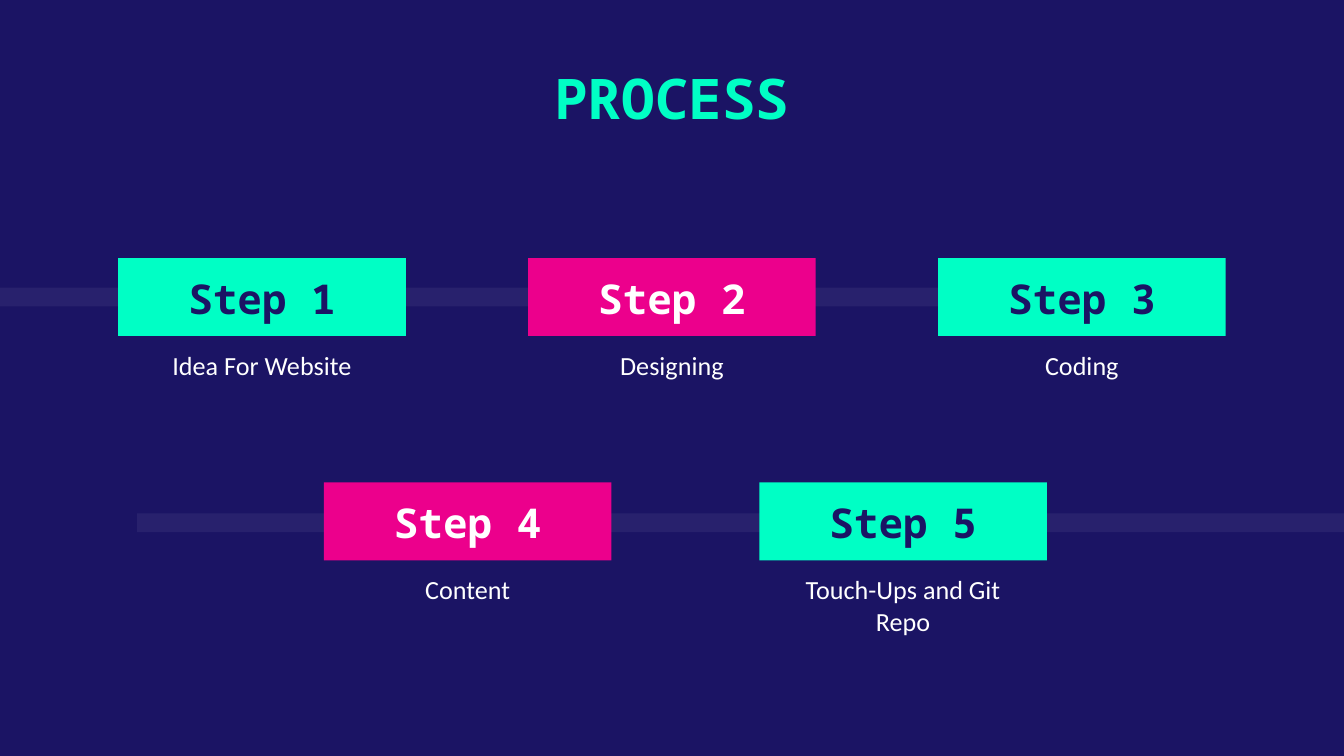
from dataclasses import dataclass

from lxml.etree import SubElement
from pptx import Presentation
from pptx.dml.color import RGBColor
from pptx.enum.shapes import MSO_SHAPE
from pptx.enum.text import MSO_ANCHOR, PP_ALIGN
from pptx.oxml.ns import qn
from pptx.util import Inches, Pt


@dataclass(frozen=True)
class Theme:
    navy: RGBColor = RGBColor(0x1B, 0x14, 0x64)
    mint: RGBColor = RGBColor(0x00, 0xFF, 0xC5)
    pink: RGBColor = RGBColor(0xEC, 0x00, 0x8C)
    white: RGBColor = RGBColor(0xFF, 0xFF, 0xFF)
    heading_font: str = "Noto Sans Mono"
    body_font: str = "Calibri"
    title_size: int = 30
    step_size: int = 22
    caption_size: int = 14
    track_opacity: int = 6


THEME = Theme()

SLIDE_WIDTH = 10
SLIDE_HEIGHT = SLIDE_WIDTH * 9 / 16
STEP_WIDTH, STEP_HEIGHT = 2.14, 0.58
CAPTION_WIDTH, CAPTION_HEIGHT = 2.07, 0.73
TRACK_HEIGHT = 0.14

# Each row: top of its steps, left of the first, distance between lefts, captions
ROWS = [
    (1.92, 0.88, 3.05, ["Idea For Website", "Designing", "Coding"]),
    (3.59, 2.41, 3.24, ["Content", "Touch-Ups and Git Repo"]),
]


def write_text(shape, text, font, size, color, bold=False, anchor=MSO_ANCHOR.TOP):
    frame = shape.text_frame
    frame.word_wrap = True
    frame.vertical_anchor = anchor
    frame.margin_left = frame.margin_right = Inches(0.1)
    frame.margin_top = frame.margin_bottom = Inches(0.1)
    paragraph = frame.paragraphs[0]
    paragraph.alignment = PP_ALIGN.CENTER
    run = paragraph.add_run()
    run.text = text
    run.font.name = font
    run.font.size = Pt(size)
    run.font.bold = bold
    run.font.color.rgb = color


def add_label(slide, left, top, width, height, *text_style, **options):
    label = slide.shapes.add_textbox(
        Inches(left), Inches(top), Inches(width), Inches(height))
    write_text(label, *text_style, **options)


def add_block(slide, left, top, width, height, color):
    block = slide.shapes.add_shape(
        MSO_SHAPE.RECTANGLE, Inches(left), Inches(top), Inches(width), Inches(height))
    block.shadow.inherit = False
    block.fill.solid()
    block.fill.fore_color.rgb = color
    block.line.fill.background()
    return block


def add_track(slide, left, top, width):
    """Add the faint band that runs behind a row of steps."""
    track = add_block(slide, left, top, width, TRACK_HEIGHT, THEME.white)
    color = track.element.spPr.find(qn("a:solidFill"))[0]
    SubElement(color, qn("a:alpha"), val=str(THEME.track_opacity * 1000))


def add_step(slide, number, left, top, caption):
    """Add a step block with its caption; odd steps are mint, even ones pink."""
    fill, ink = (THEME.mint, THEME.navy) if number % 2 else (THEME.pink, THEME.white)
    step = add_block(slide, left, top, STEP_WIDTH, STEP_HEIGHT, fill)
    write_text(step, f"Step {number}", THEME.heading_font, THEME.step_size, ink,
               bold=True, anchor=MSO_ANCHOR.BOTTOM)
    caption_left = left + (STEP_WIDTH - CAPTION_WIDTH) / 2
    add_label(slide, caption_left, top + STEP_HEIGHT, CAPTION_WIDTH, CAPTION_HEIGHT,
              caption, THEME.body_font, THEME.caption_size, THEME.white)


def main():
    deck = Presentation()
    deck.slide_width, deck.slide_height = Inches(SLIDE_WIDTH), Inches(SLIDE_HEIGHT)
    slide = deck.slides.add_slide(deck.slide_layouts[6])
    slide.background.fill.solid()
    slide.background.fill.fore_color.rgb = THEME.navy

    add_track(slide, 0, 2.14, 8.52)
    add_track(slide, 1.02, 3.82, 8.98)
    add_label(slide, 1.4, 0.37, 7.2, 0.73, "PROCESS",
              THEME.heading_font, THEME.title_size, THEME.mint, bold=True)

    number = 1
    for top, first_left, pitch, captions in ROWS:
        for column, caption in enumerate(captions):
            add_step(slide, number, first_left + column * pitch, top, caption)
            number += 1

    deck.save("out.pptx")


if __name__ == "__main__":
    main()
